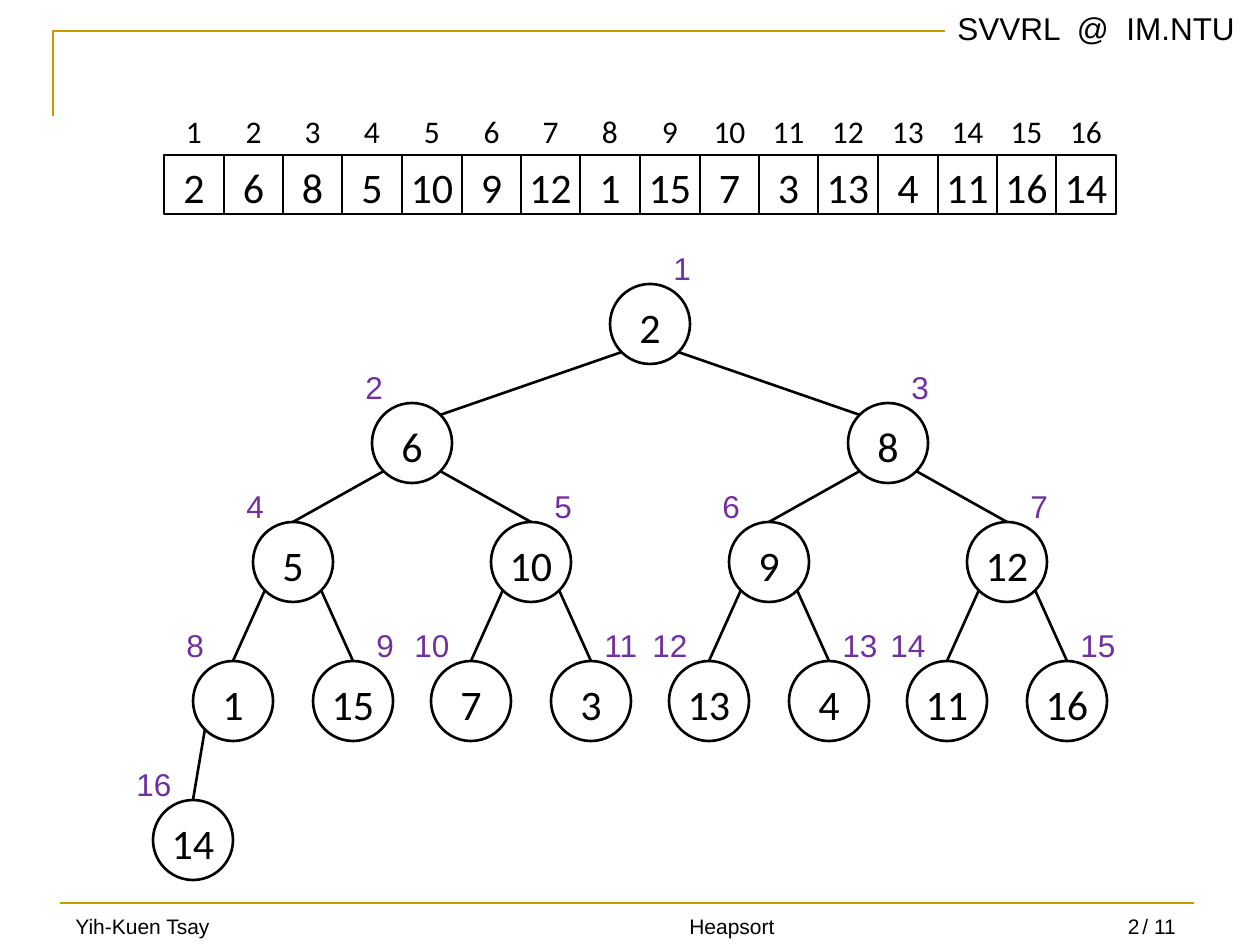
from dataclasses import dataclass

import pptx
import pptx.dml.color
import pptx.enum.shapes
import pptx.enum.text
import pptx.oxml.ns
import pptx.util
from lxml import etree

ALIGN = pptx.enum.text.PP_ALIGN
ANCHOR = pptx.enum.text.MSO_ANCHOR
SHAPE = pptx.enum.shapes.MSO_SHAPE

HEAP = [2, 6, 8, 5, 10, 9, 12, 1, 15, 7, 3, 13, 4, 11, 16, 14]
HEADER = "SVVRL  @  IM.NTU"
FOOTER = [
    ("Yih-Kuen Tsay", (63, 903, 311, 42), ALIGN.LEFT, ANCHOR.BOTTOM),
    ("Heapsort", (393, 903, 678, 42), ALIGN.CENTER, ANCHOR.BOTTOM),
    ("2", (1090, 903, 62, 42), ALIGN.RIGHT, ANCHOR.BOTTOM),
    ("/ 11", (1130, 907, 59, 38), ALIGN.LEFT, ANCHOR.TOP),
]

ARRAY_LEFT, ARRAY_TOP, ARRAY_WIDTH, CELL_HEIGHT = 164, 155, 952, 59
POSITION_TOP, LABEL_HEIGHT = 106, 50
ROOT_CENTER = 650
LEVEL_TOPS = [284, 403, 522, 661, 800]
CHILD_OFFSETS = [238, 119, 60, 40]
NODE = 80
DIAGONAL = 28
LABEL_SHIFT, LABEL_RISE = 35, 41
LABEL_WIDTHS = {1: 49, 2: 69}


@dataclass(frozen=True)
class Theme:
    ink: str = "000000"
    gold: str = "CC9900"
    purple: str = "7030A0"
    paper: str = "FFFFFF"
    sans: str = "Arial"
    digits: str = "Calibri"
    value: int = 24
    label: int = 18
    footer: int = 12
    rule: float = 1.5
    cell: float = 1


THEME = Theme()


def px(length):
    return round(length * 914400 / 126)


def rgb(color):
    return pptx.dml.color.RGBColor.from_string(color)


def style_line(line, color, width):
    line.color.rgb = rgb(color)
    line.width = pptx.util.Pt(width)


def write(shape, text, font, size, color=THEME.ink, align=ALIGN.LEFT,
          anchor=ANCHOR.TOP, wrap=True):
    frame = shape.text_frame
    frame.word_wrap = wrap
    frame.vertical_anchor = anchor
    paragraph = frame.paragraphs[0]
    paragraph.text = str(text)
    paragraph.alignment = align
    paragraph.font.name = font
    paragraph.font.size = pptx.util.Pt(size)
    paragraph.font.color.rgb = rgb(color)


def add_text(slide, box, *content, **style):
    write(slide.shapes.add_textbox(*map(px, box)), *content, **style)


def add_value(slide, kind, box, value, width):
    shape = slide.shapes.add_shape(kind, *map(px, box))
    shape.shadow.inherit = False
    shape.fill.background()
    style_line(shape.line, THEME.ink, width)
    write(shape, value, THEME.digits, THEME.value, align=ALIGN.CENTER, wrap=False)
    return shape


def add_line(slide, start, end, color):
    line = slide.shapes.add_connector(
        pptx.enum.shapes.MSO_CONNECTOR.STRAIGHT, *map(px, (*start, *end)))
    style_line(line.line, color, THEME.rule)
    etree.SubElement(line._element.spPr, pptx.oxml.ns.qn("a:effectLst"))
    return line


def draw_frame(slide):
    builder = slide.shapes.build_freeform(px(53), px(116))
    builder.add_line_segments([(px(53), px(31)), (px(1187), px(31))], close=False)
    corner = builder.convert_to_shape()
    corner.shadow.inherit = False
    corner.fill.background()
    style_line(corner.line, THEME.gold, THEME.rule)
    add_line(slide, (60, 903), (1194, 903), THEME.gold)

    header = slide.shapes.add_shape(SHAPE.RECTANGLE, *map(px, (945, 3, 315, 50)))
    header.shadow.inherit = False
    header.fill.solid()
    header.fill.fore_color.rgb = rgb(THEME.paper)
    header.line.fill.background()
    write(header, HEADER, THEME.sans, THEME.label, anchor=ANCHOR.MIDDLE)

    for text, box, align, anchor in FOOTER:
        add_text(slide, box, text, THEME.sans, THEME.footer, align=align, anchor=anchor,
                 wrap=anchor == ANCHOR.BOTTOM)


def draw_array(slide):
    edges = [round(ARRAY_LEFT + i * ARRAY_WIDTH / len(HEAP)) for i in range(len(HEAP) + 1)]
    for position, (value, left, right) in enumerate(zip(HEAP, edges, edges[1:]), 1):
        add_value(slide, SHAPE.RECTANGLE, (left, ARRAY_TOP, right - left, CELL_HEIGHT),
                  value, THEME.cell)
        add_text(slide, (left, POSITION_TOP, right - left, LABEL_HEIGHT), position,
                 THEME.digits, THEME.label, align=ALIGN.CENTER, wrap=False)


def draw_tree(slide):
    centers = {1: ROOT_CENTER}
    for index, value in enumerate(HEAP, 1):
        level = index.bit_length() - 1
        top = LEVEL_TOPS[level]
        side = 1 if index == 1 or index % 2 else -1
        parent = index // 2
        if parent:
            centers[index] = centers[parent] + side * CHILD_OFFSETS[level - 1]
        center = centers[index]
        node = add_value(slide, SHAPE.OVAL, (center - NODE // 2, top, NODE, NODE),
                         value, THEME.rule)
        if parent:
            start = (centers[parent] + side * DIAGONAL,
                     LEVEL_TOPS[level - 1] + NODE // 2 + DIAGONAL)
            if level == 1:
                end = (center - side * DIAGONAL, top + NODE // 2 - DIAGONAL)
                add_line(slide, start, end, THEME.ink)
            else:
                add_line(slide, start, (center, top), THEME.ink).end_connect(node, 0)
        width = LABEL_WIDTHS[len(str(index))]
        left = center + side * LABEL_SHIFT - width // 2
        add_text(slide, (left, top - LABEL_RISE, width, LABEL_HEIGHT), index,
                 THEME.sans, THEME.label, color=THEME.purple)


def main():
    deck = pptx.Presentation()
    deck.slide_width, deck.slide_height = px(1260), px(945)
    slide = deck.slides.add_slide(deck.slide_layouts[6])
    draw_frame(slide)
    draw_array(slide)
    draw_tree(slide)
    deck.save("out.pptx")


if __name__ == "__main__":
    main()
